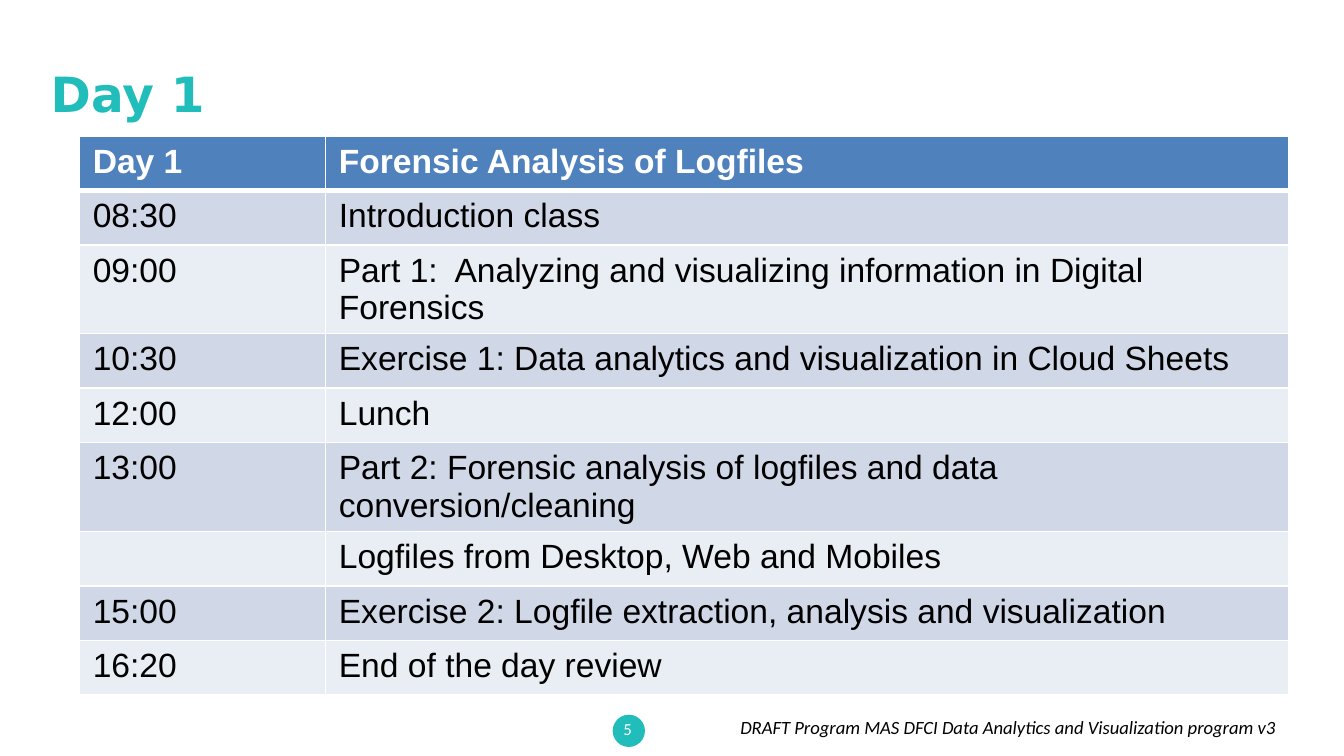
"""Build the Day 1 programme slide with its timetable."""
from dataclasses import dataclass, field
from typing import Any

from lxml import etree
from pptx import Presentation
from pptx import util as u
from pptx.dml.color import RGBColor
from pptx.enum import shapes, text
from pptx.oxml.ns import qn

TEAL, WHITE, BLACK = "20BDBA", "FFFFFF", "000000"
HEADER_FILL, BAND_FILLS = "4F81BD", ("D0D8E8", "E9EDF4")
COLUMN_WIDTHS = (4.65, 18.21)
ROW_HEIGHT = 1.03


@dataclass(frozen=True)
class Session:
    """One timetable row."""
    time: str
    topic: str


@dataclass(frozen=True)
class Label:
    """A text box with its place in centimetres and its format."""
    wording: str
    box: tuple[float, float, float, float]
    colour: str
    font: dict[str, Any]
    align: Any = text.PP_ALIGN.LEFT
    frame: dict[str, Any] = field(default_factory=dict)


MIDDLE = {"vertical_anchor": text.MSO_ANCHOR.MIDDLE}
LABELS = (
    Label("5", (11.3, 13.39, 1.12, 0.76), WHITE,
          {"name": "Calibri", "size": u.Pt(9)}, text.PP_ALIGN.CENTER, MIDDLE),
    Label("Day 1", (0.71, 0.56, 22.86, 2.39), TEAL,
          {"name": "DejaVu Sans", "size": u.Pt(26), "bold": True}, frame=MIDDLE),
    Label("DRAFT Program MAS DFCI Data Analytics and Visualization program v3",
          (12.34, 13.41, 12.01, 0.76), BLACK,
          {"name": "Calibri", "size": u.Pt(10), "italic": True}, text.PP_ALIGN.RIGHT),
)
SESSIONS = (
    Session("Day 1", "Forensic Analysis of Logfiles"),
    Session("08:30", "Introduction class"),
    Session("09:00", "Part 1:  Analyzing and visualizing information in Digital Forensics"),
    Session("10:30", "Exercise 1: Data analytics and visualization in Cloud Sheets"),
    Session("12:00", "Lunch"),
    Session("13:00", "Part 2: Forensic analysis of logfiles and data conversion/cleaning"),
    Session("", "Logfiles from Desktop, Web and Mobiles"),
    Session("15:00", "Exercise 2: Logfile extraction, analysis and visualization"),
    Session("16:20", "End of the day review"),
)


def rgb(colour: str) -> RGBColor:
    """Turn a hex string into a colour."""
    return RGBColor.from_string(colour)


def apply(target: Any, values: dict[str, Any]) -> None:
    """Set every attribute of a format on its target."""
    for name, value in values.items():
        setattr(target, name, value)


def write(paragraph: Any, wording: str, colour: str, font: dict[str, Any]) -> None:
    """Add one formatted run to a paragraph."""
    run = paragraph.add_run()
    run.text = wording
    apply(run.font, font)
    run.font.color.rgb = rgb(colour)


def draw_label(slide: Any, label: Label) -> None:
    """Draw a text box."""
    frame = slide.shapes.add_textbox(*map(u.Cm, label.box)).text_frame
    apply(frame, {"word_wrap": True, **label.frame})
    paragraph = frame.paragraphs[0]
    paragraph.alignment = label.align
    write(paragraph, label.wording, label.colour, label.font)


def draw_badge(slide: Any) -> None:
    """Draw the round backing of the page number."""
    badge = slide.shapes.add_shape(
        shapes.MSO_SHAPE.OVAL, *map(u.Cm, (11.58, 13.51, 0.61, 0.61)))
    badge.shadow.inherit = False
    badge.fill.solid()
    badge.fill.fore_color.rgb = rgb(TEAL)
    badge.line.fill.background()


def add_border(cell: Any, side: str, points: float) -> None:
    """Give one side of a cell a white line."""
    properties = cell._tc.get_or_add_tcPr()
    line = etree.SubElement(properties, qn(f"a:ln{side}"), w=str(u.Pt(points)))
    fill = etree.SubElement(line, qn("a:solidFill"))
    etree.SubElement(fill, qn("a:srgbClr"), val=WHITE)


def draw_cell(cell: Any, wording: str, row: int) -> None:
    """Fill, frame and write one timetable cell."""
    header = row == 0
    widths = {"L": 1, "R": 1, "T": 3 if row == 1 else 1, "B": 3 if header else 1}
    for side, points in widths.items():
        add_border(cell, side, points)
    cell.fill.solid()
    cell.fill.fore_color.rgb = rgb(HEADER_FILL if header else BAND_FILLS[(row - 1) % 2])
    if wording:
        write(cell.text_frame.paragraphs[0], wording, WHITE if header else BLACK,
              {"name": "Arial", "size": u.Pt(18), "bold": header})


def draw_timetable(slide: Any) -> None:
    """Draw the table of sessions."""
    table = slide.shapes.add_table(
        len(SESSIONS), len(COLUMN_WIDTHS), u.Cm(1.5), u.Cm(2.57),
        u.Cm(sum(COLUMN_WIDTHS)), u.Cm(ROW_HEIGHT * len(SESSIONS))).table
    for column, width in zip(table.columns, COLUMN_WIDTHS):
        column.width = u.Cm(width)
    for row, session in enumerate(SESSIONS):
        table.rows[row].height = u.Cm(ROW_HEIGHT)
        for column, wording in enumerate((session.time, session.topic)):
            draw_cell(table.cell(row, column), wording, row)


def main() -> None:
    """Build and save the presentation."""
    presentation = Presentation()
    apply(presentation, {"slide_width": u.Cm(25.4), "slide_height": u.Cm(14.29)})
    slide = presentation.slides.add_slide(presentation.slide_layouts[6])
    draw_badge(slide)
    draw_timetable(slide)
    for label in LABELS:
        draw_label(slide, label)
    presentation.save("out.pptx")


main()
